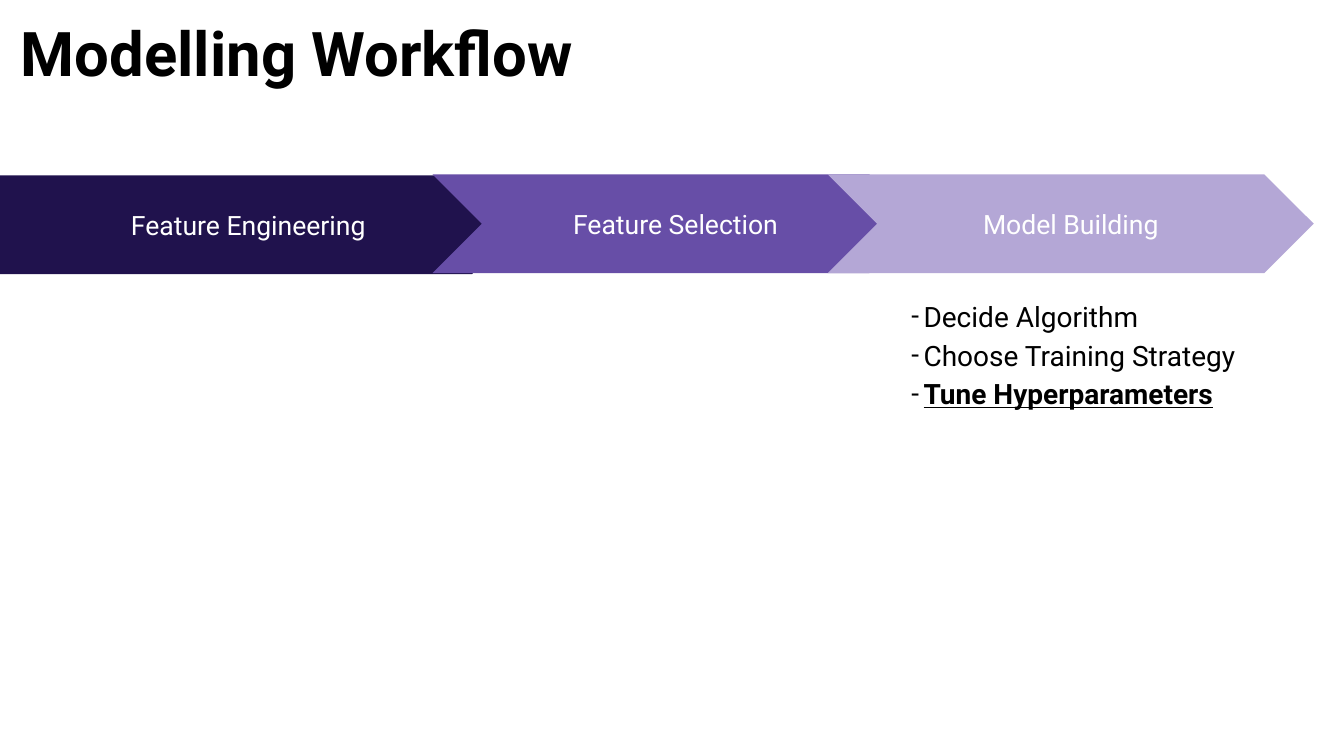
from lxml import etree
from pptx import Presentation
from pptx.dml.color import RGBColor
from pptx.enum.shapes import MSO_SHAPE
from pptx.enum.text import MSO_ANCHOR, PP_ALIGN
from pptx.oxml.ns import qn
from pptx.util import Inches, Pt

PENTAGON, CHEVRON = MSO_SHAPE.PENTAGON, MSO_SHAPE.CHEVRON
TOP, MIDDLE = MSO_ANCHOR.TOP, MSO_ANCHOR.MIDDLE
CENTER = PP_ALIGN.CENTER

COLORS = {
    "ink": "000000",
    "paper": "FFFFFF",
    "engineering": "20124D",
    "selection": "674EA7",
    "building": "B4A7D6",
}


class WorkflowSlide:
    font_name = "Roboto"
    inset = 0.13

    def __init__(self, slide):
        self.slide = slide

    def color(self, name):
        return RGBColor.from_string(COLORS[name])

    def frame(self, holder, anchor, side, vertical):
        text_frame = holder.text_frame
        settings = {
            "word_wrap": True,
            "vertical_anchor": anchor,
            "margin_left": Inches(side),
            "margin_right": Inches(side),
            "margin_top": Inches(vertical),
            "margin_bottom": Inches(vertical),
        }
        for name, value in settings.items():
            setattr(text_frame, name, value)
        return text_frame

    def add_words(self, paragraph, text, size, color, **extra):
        run = paragraph.add_run()
        run.text = text
        settings = {"name": self.font_name, "size": Pt(size), **extra}
        for name, value in settings.items():
            setattr(run.font, name, value)
        run.font.color.rgb = self.color(color)

    def title(self, text, box):
        holder = self.slide.shapes.add_textbox(*map(Inches, box))
        heading = self.frame(holder, MIDDLE, 0.1, 0.05).paragraphs[0]
        heading.line_spacing = 0.9
        self.add_words(heading, text, 44, "ink", bold=True)

    def stage(self, text, outline, fill, box):
        arrow = self.slide.shapes.add_shape(outline, *map(Inches, box))
        arrow.adjustments[0] = 0.5
        arrow.shadow.inherit = False
        arrow.fill.solid()
        arrow.fill.fore_color.rgb = self.color(fill)
        arrow.line.fill.background()
        label = self.frame(arrow, MIDDLE, self.inset, self.inset).paragraphs[0]
        label.alignment = CENTER
        self.add_words(label, text, 19, "paper")

    def dash(self, paragraph):
        properties = paragraph._p.get_or_add_pPr()
        properties.set("marL", str(Inches(0.12)))
        properties.set("indent", str(Inches(-0.26)))
        bullet_color = etree.SubElement(properties, qn("a:buClr"))
        etree.SubElement(bullet_color, qn("a:srgbClr"), val=COLORS["ink"])
        etree.SubElement(properties, qn("a:buFont"), typeface=self.font_name)
        etree.SubElement(properties, qn("a:buChar"), char="-")

    def steps(self, items, box):
        holder = self.slide.shapes.add_textbox(*map(Inches, box))
        text_frame = self.frame(holder, TOP, self.inset, self.inset)
        for index, (text, emphasis) in enumerate(items):
            step = text_frame.add_paragraph() if index else text_frame.paragraphs[0]
            self.dash(step)
            step.line_spacing = 1.15
            self.add_words(step, text, 20, "ink", **emphasis)


def main():
    deck = Presentation()
    deck.slide_width, deck.slide_height = Inches(13.33), Inches(7.5)
    workflow = WorkflowSlide(deck.slides.add_slide(deck.slide_layouts[6]))

    # Heading
    workflow.title("Modelling Workflow", (0.11, 0.1, 7.97, 0.92))

    # Stage arrows, each overlapping the one before
    stages = [
        ("Feature Engineering", PENTAGON, "engineering", (0, 1.74, 5.17, 0.98)),
        ("Feature Selection", CHEVRON, "selection", (4.29, 1.73, 4.82, 0.98)),
        ("Model Building", CHEVRON, "building", (8.21, 1.73, 4.82, 0.98)),
    ]
    for stage in stages:
        workflow.stage(*stage)

    # Steps of model building
    building_steps = [
        ("Decide Algorithm", {}),
        ("Choose Training Strategy", {}),
        ("Tune Hyperparameters", {"bold": True, "underline": True}),
    ]
    workflow.steps(building_steps, (8.91, 2.79, 3.84, 3.81))

    deck.save("out.pptx")


if __name__ == "__main__":
    main()
